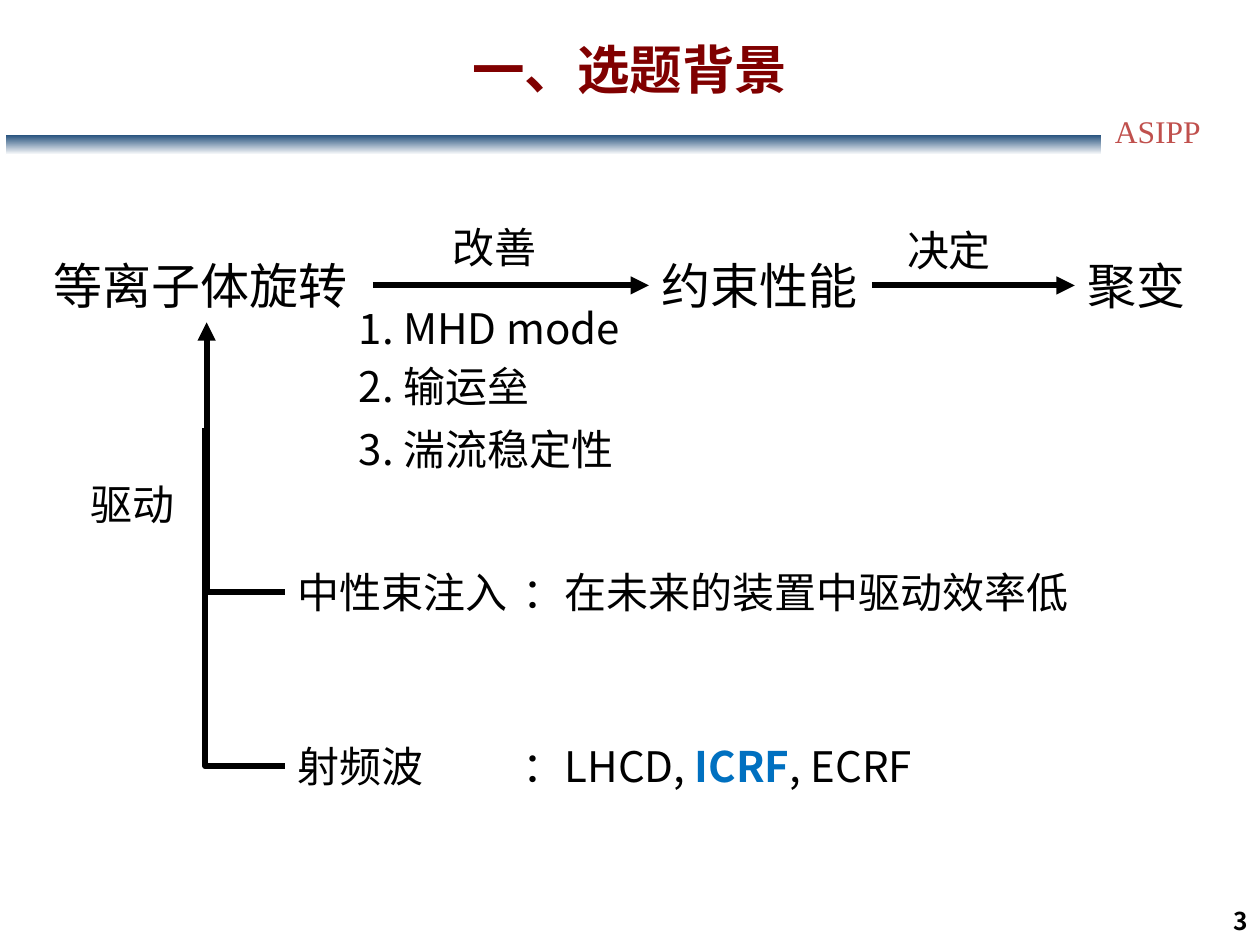
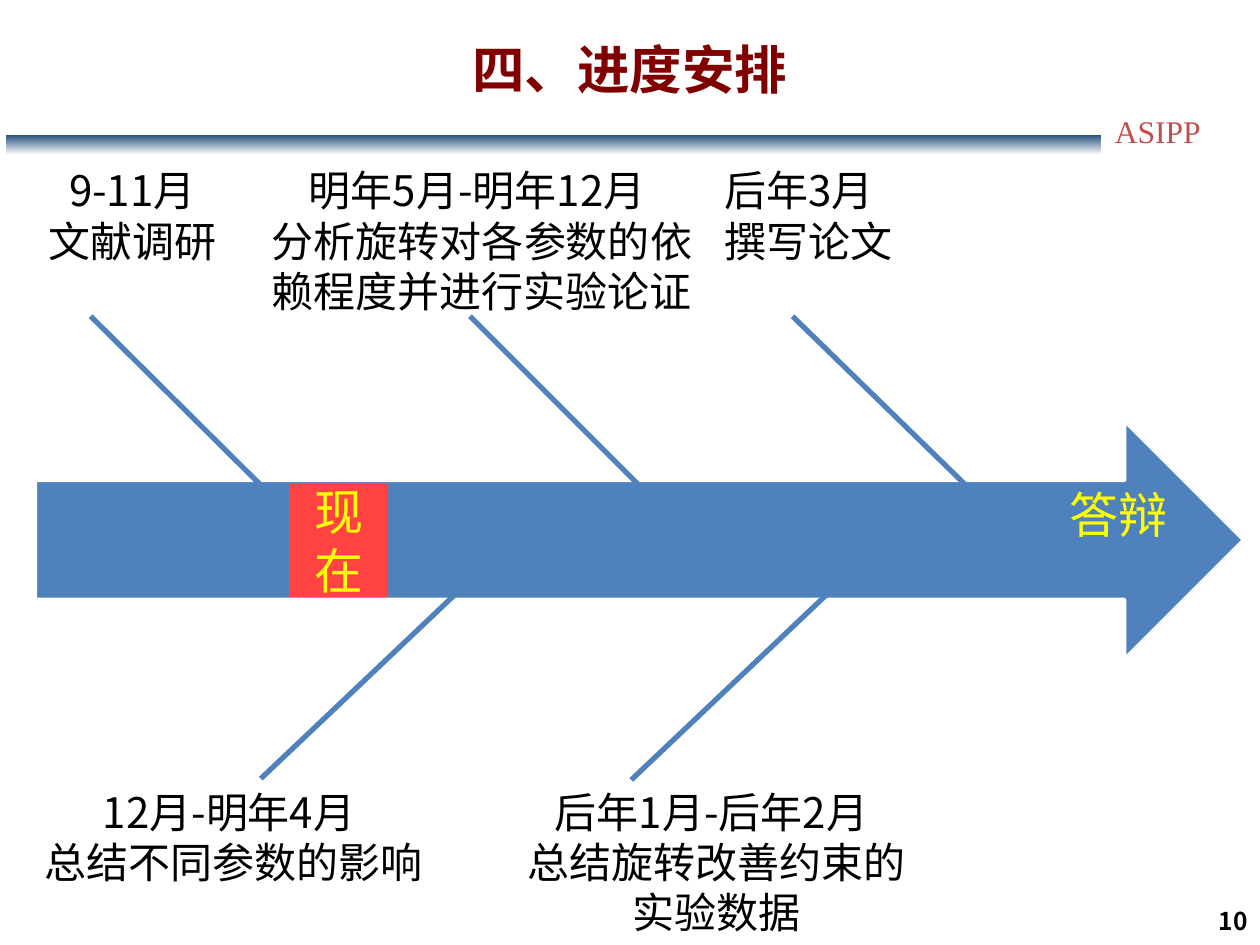
from lxml import etree
from pptx import Presentation
from pptx.dml.color import RGBColor
from pptx.enum.shapes import MSO_CONNECTOR, MSO_SHAPE
from pptx.enum.text import MSO_ANCHOR, MSO_AUTO_SIZE, PP_ALIGN
from pptx.oxml.ns import qn
from pptx.util import Inches, Pt

BLACK = RGBColor(0x00, 0x00, 0x00)
WHITE = RGBColor(0xFF, 0xFF, 0xFF)
MAROON = RGBColor(0x80, 0x00, 0x00)
BRICK = RGBColor(0xC0, 0x50, 0x4D)
NAVY = RGBColor(0x24, 0x50, 0x7C)
BLUE = RGBColor(0x4F, 0x81, 0xBD)
BRIGHT_BLUE = RGBColor(0x00, 0x70, 0xC0)
RED = RGBColor(0xFF, 0x43, 0x43)
YELLOW = RGBColor(0xFF, 0xFF, 0x00)

SANS, SERIF = "Noto Sans CJK SC", "Times New Roman"
LEFT, CENTER, RIGHT = PP_ALIGN.LEFT, PP_ALIGN.CENTER, PP_ALIGN.RIGHT
MIDDLE = MSO_ANCHOR.MIDDLE
GROW = MSO_AUTO_SIZE.SHAPE_TO_FIT_TEXT
STRAIGHT, ELBOW = MSO_CONNECTOR.STRAIGHT, MSO_CONNECTOR.ELBOW
RECTANGLE, RIGHT_ARROW = MSO_SHAPE.RECTANGLE, MSO_SHAPE.RIGHT_ARROW
LEFT_SIDE, RIGHT_SIDE = 1, 3
TITLE_ONLY = 5
COLUMNS, ROWS = 100, 75


class Deck:
    """Holds the style and the current slide; lengths are grid columns and rows."""

    def __init__(self):
        self.presentation = Presentation()
        self.presentation.slide_width = Inches(10)
        self.presentation.slide_height = Inches(7.5)
        self.column = self.presentation.slide_width / COLUMNS
        self.row = self.presentation.slide_height / ROWS
        self.slide = None

    def grid(self, *lengths):
        """Turn alternating columns and rows into slide units."""
        units = (self.column, self.row) * 2
        return [round(length * unit) for length, unit in zip(lengths, units)]

    def style(self, span, size, color=BLACK, bold=False, font=SANS):
        span.font.name = font
        span.font.size = Pt(size)
        span.font.bold = bold
        span.font.color.rgb = color
        east_asian = etree.SubElement(span.font._element, qn("a:ea"))
        east_asian.set("typeface", SANS)

    def set_text(self, frame, text, size, align=LEFT, **look):
        frame.word_wrap = True
        frame.text = text
        for para in frame.paragraphs:
            para.alignment = align
            for span in para.runs:
                self.style(span, size, **look)

    def page(self, title, number):
        """Start a slide with its title, band, institute label and number."""
        layout = self.presentation.slide_layouts[TITLE_ONLY]
        self.slide = self.presentation.slides.add_slide(layout)
        band = self.shape(RECTANGLE, (0.4, 10.7, 87, 1.6), NAVY, WHITE, 0.5)
        band.fill.gradient()
        band.fill.gradient_angle = 270
        for stop, color in zip(band.fill.gradient_stops, (NAVY, WHITE)):
            stop.color.rgb = color
        self.text("ASIPP", (87.5, 8.4, 12.2, 5.1), 18, color=BRICK, font=SERIF)
        self.text(number, (91, 71.4, 9, 3.7), 14, RIGHT, bold=True)
        heading = self.slide.shapes.title
        heading.left, heading.top, heading.width, heading.height = self.grid(
            0, 0, COLUMNS, 10.9)
        heading.text_frame.vertical_anchor = MIDDLE
        self.set_text(heading.text_frame, title, 30, CENTER, color=MAROON, bold=True)

    def text(self, text, place, size=24, align=LEFT, **look):
        box = self.slide.shapes.add_textbox(*self.grid(*place))
        self.set_text(box.text_frame, text, size, align, **look)
        box.text_frame.auto_size = GROW
        return box

    def add_span(self, box, text, **look):
        span = box.text_frame.paragraphs[0].add_run()
        span.text = text
        self.style(span, 24, **look)

    def shape(self, kind, place, fill, line=None, width=0):
        shape = self.slide.shapes.add_shape(kind, *self.grid(*place))
        shape.shadow.inherit = False
        shape.fill.solid()
        shape.fill.fore_color.rgb = fill
        if line is None:
            shape.line.fill.background()
        else:
            shape.line.color.rgb = line
            shape.line.width = Pt(width)
        return shape

    def line(self, start, end, color=BLACK, width=3.5, kind=STRAIGHT, arrow=False):
        connector = self.slide.shapes.add_connector(
            kind, *self.grid(*start, *end))
        connector.line.color.rgb = color
        connector.line.width = Pt(width)
        properties = connector._element.spPr
        if arrow:
            tail = etree.SubElement(properties.find(qn("a:ln")), qn("a:tailEnd"))
            tail.set("type", "triangle")
        if kind == ELBOW:
            properties.find(qn("a:prstGeom")).set("prst", "bentConnector2")
        etree.SubElement(properties, qn("a:effectLst"))
        return connector

    def link(self, first, second):
        """Draw an arrow from the right side of one box to the left of another."""
        arrow = self.line((0, 0), (1, 1), arrow=True)
        arrow.begin_connect(first, RIGHT_SIDE)
        arrow.end_connect(second, LEFT_SIDE)


def background_page(deck):
    deck.page("一、选题背景", "3")

    rotation, confinement, fusion = [
        deck.text(label, (left, 19.8, width, 5.7), 28)
        for label, left, width in (("等离子体旋转", 3.3, 26.3),
                                   ("约束性能", 51.5, 17.7),
                                   ("聚变", 85.3, 10.1))]
    deck.link(rotation, confinement)
    deck.link(confinement, fusion)
    deck.text("改善", (34.9, 17.1, 9.9, 5))
    deck.text("决定", (71, 17.3, 10.1, 5))

    for effect, top in (("1. MHD mode", 23.5), ("2. 输运垒", 28.1),
                        ("3. 湍流稳定性", 33.1)):
        deck.text(effect, (27.5, top, 26.3, 5))

    deck.text("驱动", (6.2, 37.5, 9, 5))
    deck.line((22.6, 47), (16.4, 25.6), kind=ELBOW, arrow=True)
    deck.line((22.6, 60.8), (16.3, 34), kind=ELBOW)
    deck.text("中性束注入", (22.6, 44.5, 23.3, 5))
    deck.text("：在未来的装置中驱动效率低", (40.5, 44.5, 56.7, 5))
    deck.text("射频波", (22.6, 58.3, 12.4, 5))
    waves = deck.text("：LHCD, ", (40.5, 58.3, 35.4, 5))
    deck.add_span(waves, "ICRF", color=BRIGHT_BLUE, bold=True)
    deck.add_span(waves, ", ECRF")


def schedule_page(deck):
    deck.page("四、进度安排", "10")
    deck.shape(RIGHT_ARROW, (2.8, 33.4, 95.9, 18.9), BLUE, WHITE, 2)

    for start, end in (((7.2, 25.1), (21.9, 39.7)),
                       ((37.3, 25.1), (51.9, 39.7)),
                       ((62.9, 25.1), (78.9, 40.7)),
                       ((20.7, 61.8), (36.1, 47.2)),
                       ((50.1, 61.9), (65.6, 47.2))):
        deck.line(start, end, BLUE, 3)

    above, below = 12.6, 61.9
    for task, left, top, width, height, align in (
            ("9-11月 文献调研", 2.8, above, 15.4, 9.1, CENTER),
            ("明年5月-明年12月 \n分析旋转对各参数的依赖程度并进行实验论证",
             20, above, 36.5, 13.1, CENTER),
            ("后年3月\n撰写论文", 56.5, above, 16, 9.1, LEFT),
            ("12月-明年4月 \n总结不同参数的影响", 2.1, below, 32.9, 9.1, CENTER),
            ("后年1月-后年2月 \n总结旋转改善约束的实验数据",
             40.3, below, 33.1, 13.1, CENTER)):
        deck.text(task, (left, top, width, height), align=align)

    now = deck.shape(RECTANGLE, (23, 38.4, 7.8, 9), RED)
    now.text_frame.vertical_anchor = MIDDLE
    deck.set_text(now.text_frame, "现在", 28, CENTER, color=YELLOW, font=SERIF)
    deck.text("答辩", (83.9, 38, 10.7, 5.7), 28, color=YELLOW)


def main():
    deck = Deck()
    background_page(deck)
    schedule_page(deck)
    deck.presentation.save("out.pptx")


if __name__ == "__main__":
    main()
